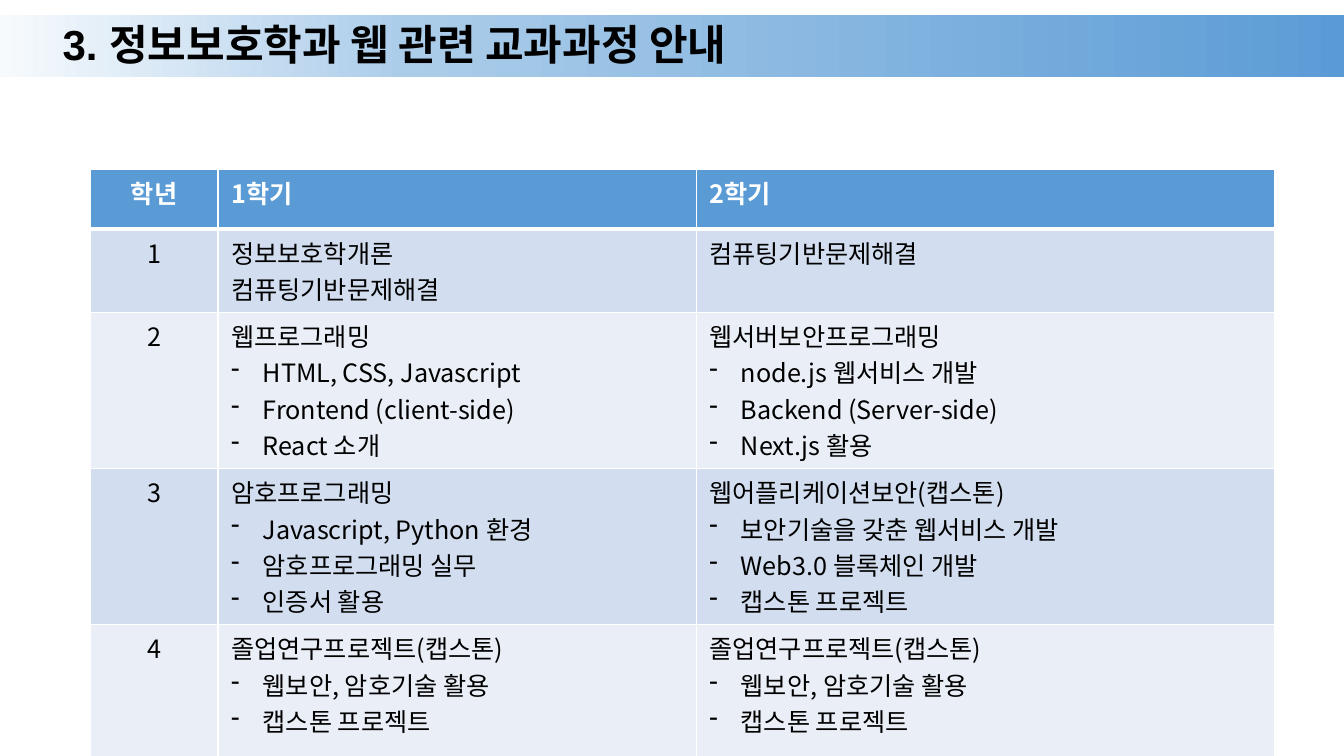
"""Builds the slide on the web curriculum of the information security department."""
from dataclasses import dataclass

import lxml.etree
import pptx
import pptx.dml.color
import pptx.enum.shapes
import pptx.enum.text
import pptx.oxml.ns
import pptx.util

Pt = pptx.util.Pt
qn = pptx.oxml.ns.qn
ALIGN = pptx.enum.text.PP_ALIGN
ANCHOR = pptx.enum.text.MSO_ANCHOR

KOREAN = "Noto Sans CJK KR"
BLACK, WHITE, BLUE = "000000", "FFFFFF", "5B9BD5"
BANDS = ("D2DEEF", "EAEFF7")
INDENT = 22.5


@dataclass
class Semester:
    courses: list[str]
    topics: list[str]


@dataclass
class Year:
    height: float
    first: Semester
    second: Semester


CAPSTONE = Semester(["졸업연구프로젝트(캡스톤)"], ["웹보안, 암호기술 활용", "캡스톤 프로젝트"])
YEARS = [
    Year(59.5,
         Semester(["정보보호학개론", "컴퓨팅기반문제해결"], []),
         Semester(["컴퓨팅기반문제해결"], [])),
    Year(111.5,
         Semester(["웹프로그래밍"],
                  ["HTML, CSS, Javascript", "Frontend (client-side)", "React 소개"]),
         Semester(["웹서버보안프로그래밍"],
                  ["node.js 웹서비스 개발", "Backend (Server-side)", "Next.js 활용"])),
    Year(111.5,
         Semester(["암호프로그래밍"],
                  ["Javascript, Python 환경", "암호프로그래밍 실무", "인증서 활용"]),
         Semester(["웹어플리케이션보안(캡스톤)"],
                  ["보안기술을 갖춘 웹서비스 개발", "Web3.0 블록체인 개발", "캡스톤 프로젝트"])),
    Year(95, CAPSTONE, CAPSTONE),
]
HEADINGS = ["학년", "1학기", "2학기"]
HEADER_HEIGHT = 42.5
COLUMN_WIDTHS = [91.5, 341.5, 413]


def rgb(value: str) -> pptx.dml.color.RGBColor:
    return pptx.dml.color.RGBColor.from_string(value)


def add_run(p, text: str, size: float, font: str, color: str, bold: bool) -> None:
    r = p.add_run()
    r.text = text
    r.font.size = Pt(size)
    r.font.bold = bold
    r.font.color.rgb = rgb(color)
    r.font.name = font
    lxml.etree.SubElement(r._r.get_or_add_rPr(), qn("a:ea"), typeface=KOREAN)


def add_dash(p) -> None:
    pPr = p._p.get_or_add_pPr()
    pPr.set("marL", str(Pt(INDENT)))
    pPr.set("indent", str(-Pt(INDENT)))
    lxml.etree.SubElement(pPr, qn("a:buFontTx"))
    lxml.etree.SubElement(pPr, qn("a:buChar"), char="-")


def add_border(cell, side: str, width: float) -> None:
    tcPr = cell._tc.get_or_add_tcPr()
    ln = lxml.etree.SubElement(tcPr, qn(f"a:ln{side}"), w=str(Pt(width)))
    fill = lxml.etree.SubElement(ln, qn("a:solidFill"))
    lxml.etree.SubElement(fill, qn("a:srgbClr"), val=WHITE)


def fill_cell(cell, content: Semester, fill: str, header: bool, centred: bool,
              top: float, bottom: float) -> None:
    cell.margin_left = cell.margin_right = Pt(9.4)
    cell.margin_top = cell.margin_bottom = Pt(3.6)
    for side, width in (("L", 1), ("R", 1), ("T", top), ("B", bottom)):
        add_border(cell, side, width)
    cell.fill.solid()
    cell.fill.fore_color.rgb = rgb(fill)
    tf = cell.text_frame
    for i, text in enumerate(content.courses + content.topics):
        p = tf.add_paragraph() if i else tf.paragraphs[0]
        p.alignment = ALIGN.CENTER if centred else ALIGN.LEFT
        if i >= len(content.courses):
            add_dash(p)
        add_run(p, text, 18, KOREAN, WHITE if header else BLACK, header)


def add_band(s) -> None:
    sp = s.shapes.add_shape(pptx.enum.shapes.MSO_SHAPE.RECTANGLE, 0, Pt(10.8), Pt(960), Pt(44))
    sp.shadow.inherit = False
    sp.line.fill.background()
    sp.fill.gradient()
    sp.fill.gradient_angle = 0
    gsLst = sp._element.spPr.find(qn("a:gradFill")).find(qn("a:gsLst"))
    for stop in list(gsLst):
        gsLst.remove(stop)
    for position, color in ((0, "F7FAFD"), (30, "ACCDEA"), (100, BLUE)):
        gs = lxml.etree.SubElement(gsLst, qn("a:gs"), pos=str(position * 1000))
        lxml.etree.SubElement(gs, qn("a:srgbClr"), val=color)


def set_title(s, text: str) -> None:
    title = s.shapes.title
    title.left, title.top, title.width, title.height = Pt(37.5), Pt(10.8), Pt(716), Pt(45.4)
    s.shapes._spTree.append(title._element)
    tf = title.text_frame
    tf.vertical_anchor = ANCHOR.MIDDLE
    p = tf.paragraphs[0]
    p.alignment = ALIGN.LEFT
    p.line_spacing = 0.9
    add_run(p, text, 30, "Arial", BLACK, True)


def add_curriculum(s) -> None:
    heights = [HEADER_HEIGHT] + [year.height for year in YEARS]
    table = s.shapes.add_table(len(heights), len(COLUMN_WIDTHS), Pt(64.3), Pt(121),
                               Pt(sum(COLUMN_WIDTHS)), Pt(sum(heights))).table
    for column, width in zip(table.columns, COLUMN_WIDTHS):
        column.width = Pt(width)
    for row, height in zip(table.rows, heights):
        row.height = Pt(height)
    contents = [[Semester([heading], []) for heading in HEADINGS]]
    for number, year in enumerate(YEARS, 1):
        contents.append([Semester([str(number)], []), year.first, year.second])
    for i, row in enumerate(contents):
        fill = BANDS[(i - 1) % 2] if i else BLUE
        for j, content in enumerate(row):
            fill_cell(table.cell(i, j), content, fill, i == 0, j == 0,
                      top=3 if i == 1 else 1, bottom=3 if i == 0 else 1)


def main() -> None:
    prs = pptx.Presentation()
    prs.slide_width, prs.slide_height = Pt(960), Pt(540)
    s = prs.slides.add_slide(prs.slide_layouts.get_by_name("Title Only"))
    add_band(s)
    set_title(s, "3. 정보보호학과 웹 관련 교과과정 안내")
    add_curriculum(s)
    prs.save("out.pptx")


if __name__ == "__main__":
    main()
